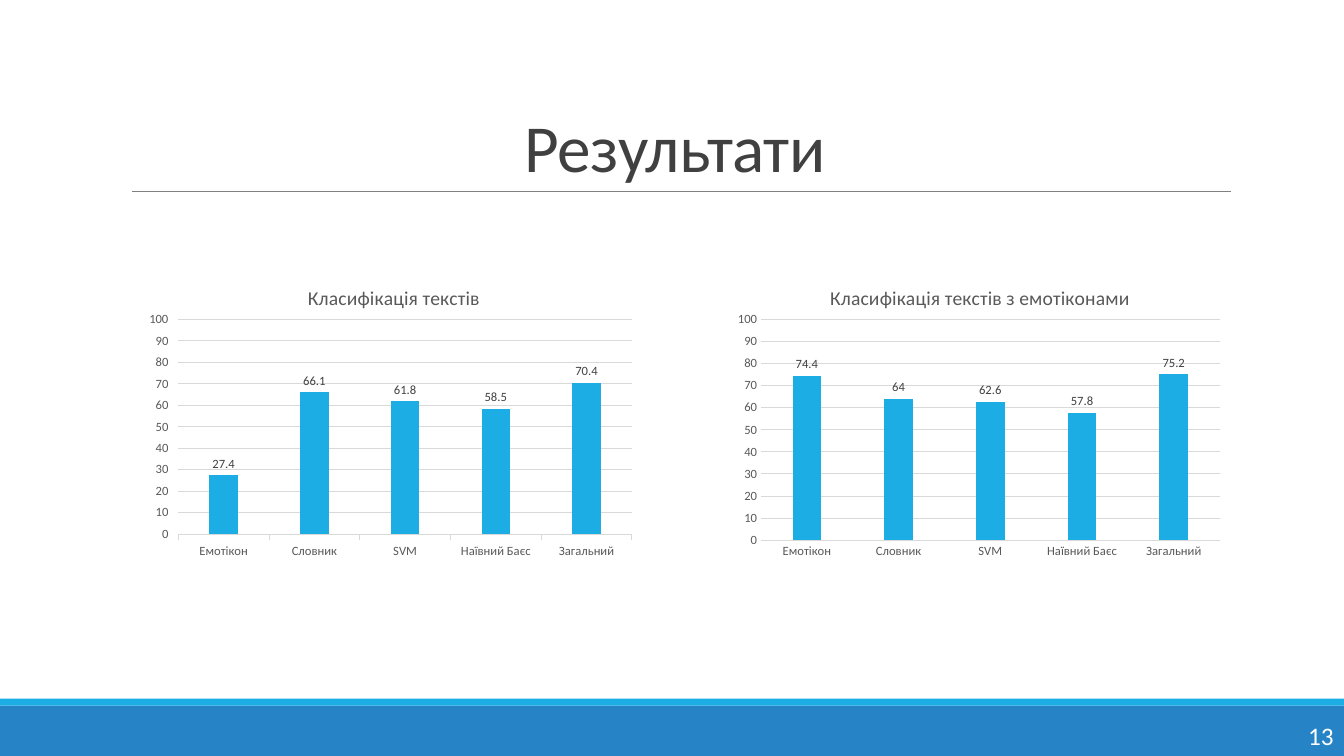
import pptx
import pptx.util
import pptx.dml.color
import pptx.chart.data
import pptx.enum.chart
import pptx.enum.shapes
import pptx.enum.text
import lxml.etree

Pt = pptx.util.Pt
RGB = pptx.dml.color.RGBColor
Tick = pptx.enum.chart.XL_TICK_MARK
Align = pptx.enum.text.PP_ALIGN
Anchor = pptx.enum.text.MSO_ANCHOR

BLUE = RGB(0x26, 0x83, 0xC6)
CYAN = RGB(0x1C, 0xAD, 0xE4)
WHITE = RGB(0xFF, 0xFF, 0xFF)
DARK = RGB(0x40, 0x40, 0x40)
GRAY = RGB(0x59, 0x59, 0x59)
RULE = RGB(0x80, 0x80, 0x80)
PALE = RGB(0xD9, 0xD9, 0xD9)
FACE = "Calibri"

deck = pptx.Presentation()
deck.slide_width, deck.slide_height = Pt(960), Pt(540)
slide = deck.slides.add_slide(deck.slide_layouts[6])
shapes = slide.shapes


def add_text(text, box, size, color, align=Align.LEFT, anchor=Anchor.TOP,
             wrap=True, space=None, gap=0):
    frame = shapes.add_textbox(*map(Pt, box)).text_frame
    frame.word_wrap = wrap
    frame.vertical_anchor = anchor
    para = frame.paragraphs[0]
    para.alignment = align
    para.line_spacing = space
    run = para.add_run()
    run.text = text
    run.font.name, run.font.size = FACE, Pt(size)
    run.font.color.rgb = color
    if gap:
        run.font._element.set("spc", str(gap))


def set_place(node, index, **spots):
    ns = "{http://schemas.openxmlformats.org/drawingml/2006/chart}"
    for old in node.findall(ns + "layout"):
        node.remove(old)
    layout = lxml.etree.Element(ns + "layout")
    manual = lxml.etree.SubElement(layout, ns + "manualLayout")
    for tag, value in spots.items():
        lxml.etree.SubElement(manual, ns + tag).set("val", str(value))
    node.insert(index, layout)


for top, high, color in [(504, 36, BLUE), (499, 5, CYAN)]:
    band = shapes.add_shape(pptx.enum.shapes.MSO_SHAPE.RECTANGLE,
                            Pt(0), Pt(top), Pt(960), Pt(high))
    band.shadow.inherit = False
    band.fill.solid()
    band.fill.fore_color.rgb = color
    band.line.fill.background()

rule = shapes.add_connector(pptx.enum.shapes.MSO_CONNECTOR.STRAIGHT,
                            Pt(94.3), Pt(136.8), Pt(879), Pt(136.8))
rule.line.color.rgb = RULE
rule.line.width = Pt(0.5)
rule._element.spPr.append(pptx.oxml.parse_xml(
    '<a:effectLst xmlns:a="http://schemas.openxmlformats.org/drawingml/2006/main"/>'))

add_text("Результати", (86.4, 22.3, 792, 114.5), 48, DARK, align=Align.CENTER,
         anchor=Anchor.BOTTOM, space=0.85, gap=-50)
add_text("13", (927.4, 511.2, 33, 29), 18, WHITE, wrap=False)

cats = ["Емотікон", "Словник", "SVM", "Наївний Баєс", "Загальний"]
charts = [
    ("Класифікація текстів", 98.6, [27.4, 66.1, 61.8, 58.5, 70.4],
     Tick.OUTSIDE, 0.33, (0.08, 0.9, 0.71)),
    ("Класифікація текстів з емотіконами", 518.4, [74.4, 64, 62.6, 57.8, 75.2],
     Tick.NONE, 0.2, (0.07, 0.91, 0.73)),
]
for title, left, vals, tick, start, (x, w, h) in charts:
    data = pptx.chart.data.CategoryChartData()
    data.categories = cats
    data.add_series("Series 1", vals)
    chart = shapes.add_chart(pptx.enum.chart.XL_CHART_TYPE.COLUMN_CLUSTERED,
                             Pt(left), Pt(187.2), Pt(360), Pt(216), data).chart
    chart.font.name, chart.font.size = FACE, Pt(10)
    chart.has_legend = False
    chart.has_title = True
    head = chart.chart_title
    head.include_in_layout = False
    head.text_frame.text = title
    font = head.text_frame.paragraphs[0].runs[0].font
    font.name, font.size, font.bold = FACE, Pt(14), False
    font.color.rgb = GRAY
    set_place(head._element, 1, xMode="edge", yMode="edge", x=start, y=0.06)
    set_place(chart._chartSpace.chart.plotArea, 0, layoutTarget="inner",
              xMode="edge", yMode="edge", x=x, y=0.19, w=w, h=h)

    for axis in (chart.category_axis, chart.value_axis):
        axis.major_tick_mark = tick
        axis.minor_tick_mark = Tick.NONE
        font = axis.tick_labels.font
        font.name, font.size = FACE, Pt(9)
        font.color.rgb = GRAY
    chart.value_axis.minimum_scale = 0
    chart.value_axis.maximum_scale = 100
    chart.value_axis.major_unit = 10
    chart.value_axis.format.line.fill.background()
    for line in (chart.category_axis.format.line,
                 chart.value_axis.major_gridlines.format.line):
        line.color.rgb = PALE
        line.width = Pt(0.75)

    plot = chart.plots[0]
    plot.gap_width, plot.overlap = 219, -27
    plot.vary_by_categories = False
    bars = plot.series[0]
    bars.format.fill.solid()
    bars.format.fill.fore_color.rgb = CYAN
    tags = bars.data_labels
    tags.show_value = True
    tags.position = pptx.enum.chart.XL_LABEL_POSITION.OUTSIDE_END
    tags.font.name, tags.font.size = FACE, Pt(9)
    tags.font.color.rgb = DARK

deck.save("out.pptx")
